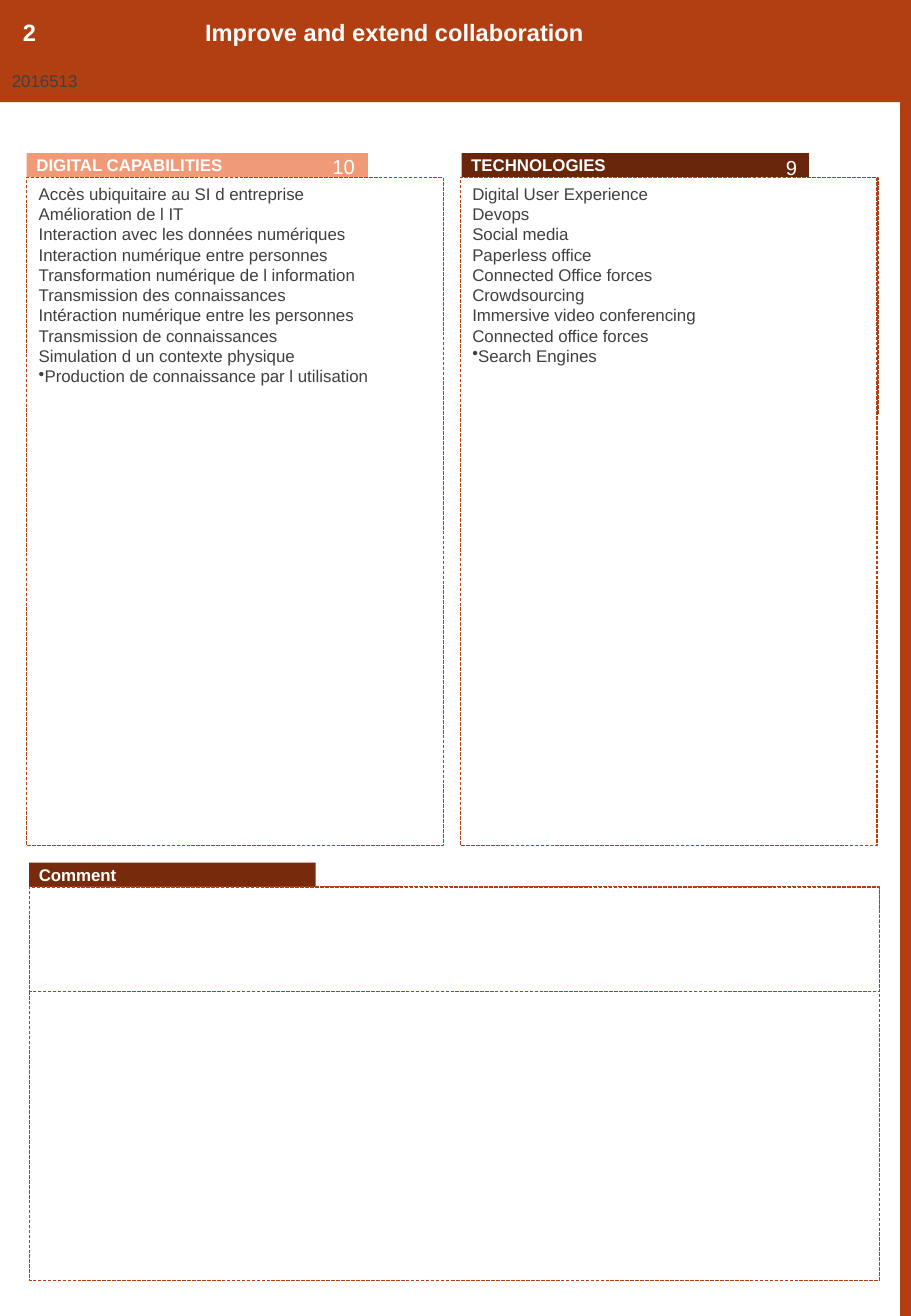
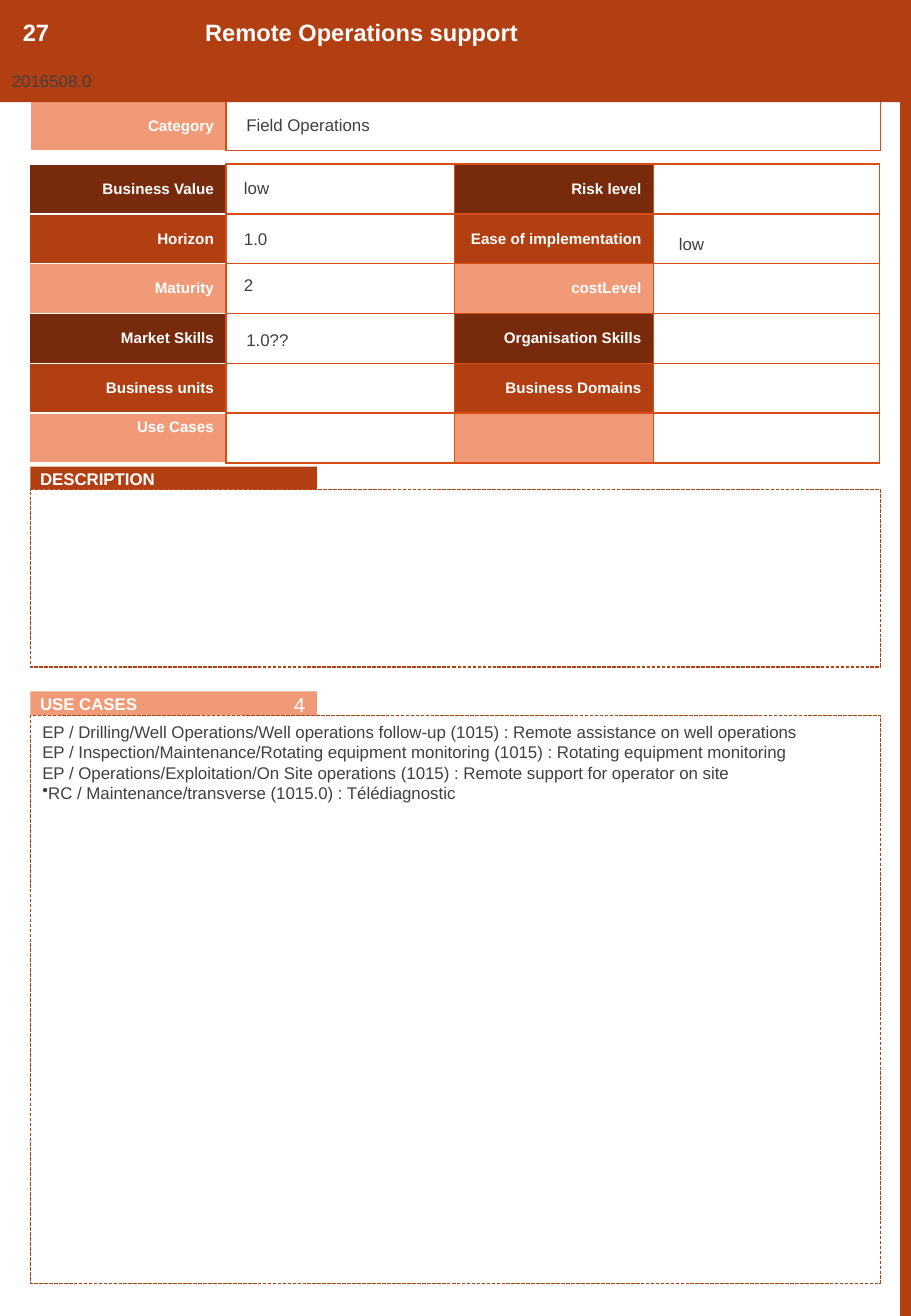
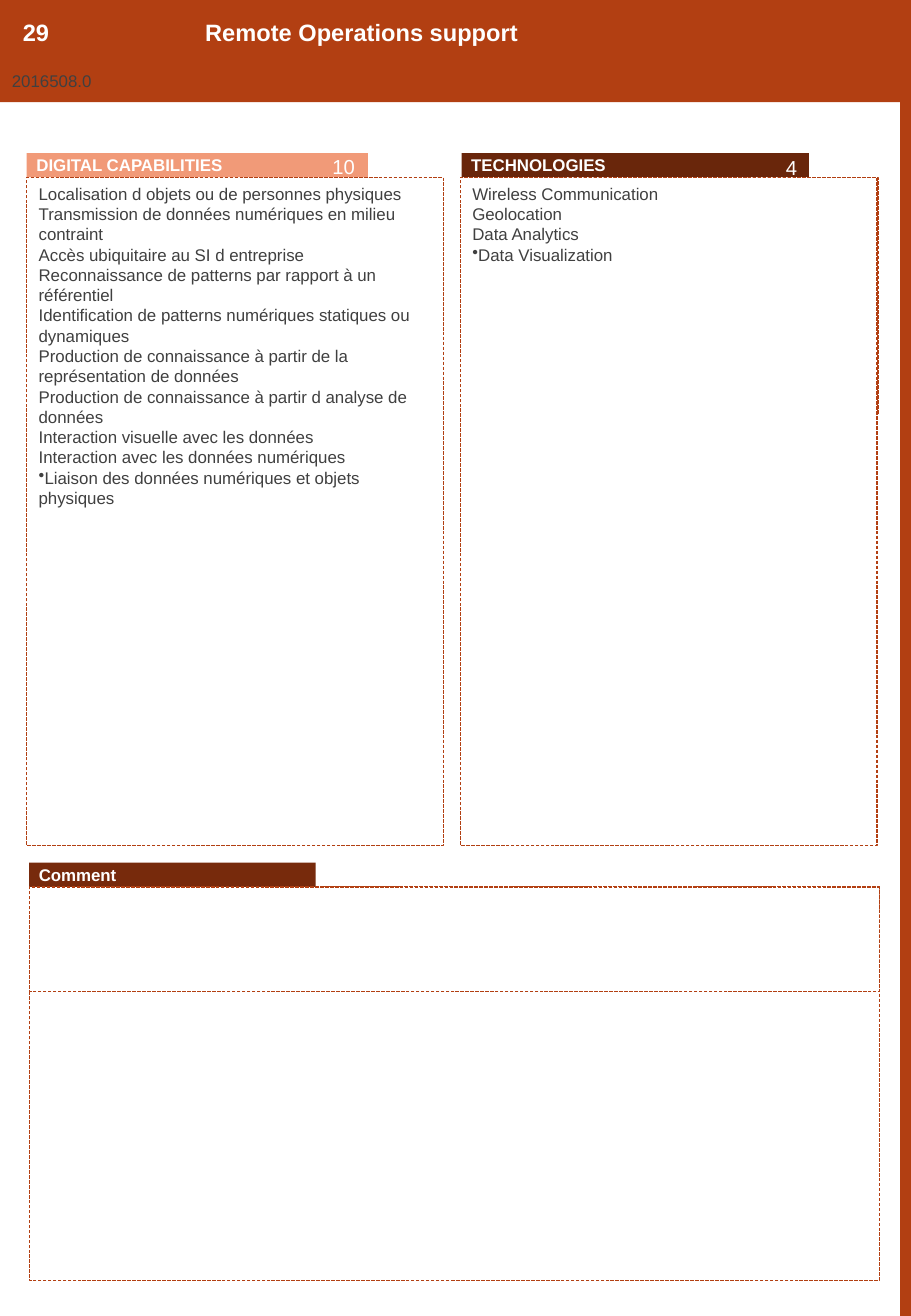
from dataclasses import dataclass

from lxml import etree
from pptx import Presentation
from pptx.dml.color import RGBColor
from pptx.enum.dml import MSO_LINE
from pptx.enum.shapes import MSO_SHAPE
from pptx.enum.text import MSO_ANCHOR, PP_ALIGN
from pptx.oxml.ns import qn
from pptx.util import Inches, Pt

RECT = MSO_SHAPE.RECTANGLE
DASH = MSO_LINE.SQUARE_DOT
TOP, MID = MSO_ANCHOR.TOP, MSO_ANCHOR.MIDDLE
LEFT, RIGHT = PP_ALIGN.LEFT, PP_ALIGN.RIGHT


@dataclass(frozen=True)
class Theme:
    font: str = "Arial"
    rust: str = "B23F12"
    peach: str = "F19A78"
    brown: str = "772A0C"
    dark: str = "69260B"
    grid: str = "D84D16"
    white: str = "FFFFFF"
    ink: str = "404040"
    title: int = 14
    count: int = 12
    body: int = 10
    label: int = 9


THEME = Theme()


class Deck:
    def __init__(self, theme):
        self.theme = theme
        self.prs = Presentation()
        self.prs.slide_width = Inches(7.5)
        self.prs.slide_height = Inches(10.83)
        self.slide = None

    def page(self):
        """Start a slide with the band on its right edge."""
        self.slide = self.prs.slides.add_slide(self.prs.slide_layouts[6])
        self.rect((7.41, 0, 0.09, 10.83), self.theme.rust)

    def put(self, frame, lines, size, color, bold=False, align=LEFT):
        frame.word_wrap = True
        for i, line in enumerate(lines):
            para = frame.paragraphs[0] if i == 0 else frame.add_paragraph()
            para.text = line
            para.alignment = align
            font = para.font
            font.name, font.size, font.bold = self.theme.font, Pt(size), bold
            font.color.rgb = RGBColor.from_string(color)

    def rect(self, box, fill, dashed=False):
        shape = self.slide.shapes.add_shape(RECT, *map(Inches, box))
        shape.shadow.inherit = False
        shape.fill.solid()
        shape.fill.fore_color.rgb = RGBColor.from_string(fill)
        if dashed:
            shape.line.color.rgb = RGBColor.from_string(self.theme.rust)
            shape.line.width = Pt(0)
            shape.line.dash_style = DASH
        else:
            shape.line.fill.background()
        shape.text_frame.vertical_anchor = TOP
        return shape

    def panel(self, box, lines=()):
        """Dashed frame; the last of its lines carries a bullet."""
        frame = self.rect(box, self.theme.white, True).text_frame
        if lines:
            self.put(frame, lines, self.theme.body, self.theme.ink)
            props = frame.paragraphs[-1]._p.get_or_add_pPr()
            props.set("marL", "0")
            props.set("indent", "0")
            mark = etree.Element(qn("a:buChar"), char="•")
            props.insert(0, mark)

    def tab(self, box, text, fill):
        frame = self.rect(box, fill).text_frame
        frame.vertical_anchor = MID
        frame.margin_left = frame.margin_right = Inches(0.08)
        self.put(frame, [text], self.theme.body, self.theme.white, True)

    def text(self, box, text):
        frame = self.slide.shapes.add_textbox(*map(Inches, box)).text_frame
        self.put(frame, [text], self.theme.body, self.theme.ink)

    def count(self, box, text):
        frame = self.slide.shapes.add_textbox(*map(Inches, box)).text_frame
        self.put(frame, [text], self.theme.count, self.theme.white,
                 align=RIGHT)

    def header(self, number, title, date):
        t = self.theme
        self.rect((0, -0.01, 7.5, 0.85), t.rust)
        for box, text, size, color, bold in (
                ((1.59, 0.1, 5.41, 0.34), title, t.title, t.white, True),
                ((0.09, 0.1, 0.8, 0.34), number, t.title, t.white, True),
                ((0, 0.53, 1.06, 0.29), date, t.body, t.ink, False)):
            frame = self.rect(box, t.rust).text_frame
            self.put(frame, [text], size, color, bold)

    def edge(self, cell, side, color):
        line = etree.SubElement(cell._tc.get_or_add_tcPr(),
                                qn("a:ln" + side), w=str(Pt(1)))
        fill = etree.SubElement(line, qn("a:solidFill"))
        etree.SubElement(fill, qn("a:srgbClr"), val=color)

    def table(self, left, top, cols, high, rows, fills):
        """Labels in even columns, blank value cells in odd ones."""
        t = self.theme
        shape = self.slide.shapes.add_table(
            len(rows), len(cols), Inches(left), Inches(top),
            Inches(sum(cols)), Inches(high * len(rows)))
        table = shape.table
        table.first_row = table.horz_banding = False
        for col, wide in zip(table.columns, cols):
            col.width = Inches(wide)
        for r, row in enumerate(rows):
            table.rows[r].height = Inches(high)
            for c in range(len(cols)):
                cell = table.cell(r, c)
                for side in "LRTB":
                    plain = c == 0 and side != "R"
                    self.edge(cell, side, t.white if plain else t.grid)
                label = c % 2 == 0
                cell.fill.solid()
                cell.fill.fore_color.rgb = RGBColor.from_string(
                    fills[r] if label else t.white)
                text = row[c // 2] if label else ""
                cell.vertical_anchor = TOP if text == "Use Cases" else MID
                self.put(cell.text_frame, [text], t.label, t.white, True,
                         RIGHT)

    def skills(self, head, needs, tools):
        """Page with two lists above a comment area."""
        t = self.theme
        self.page()
        # Technologies
        self.tab((3.8, 1.26, 2.86, 0.2), "TECHNOLOGIES", t.dark)
        self.panel((3.8, 1.46, 3.43, 1.95))
        self.panel((3.79, 1.46, 3.43, 5.5), tools)
        # Digital capabilities
        self.tab((0.22, 1.26, 2.81, 0.2), "DIGITAL CAPABILITIES", t.peach)
        self.panel((0.22, 1.46, 3.43, 5.5), needs)
        self.count((1.74, 1.22, 1.28, 0.29), str(len(needs)))
        self.count((5.19, 1.23, 1.47, 0.47), str(len(tools)))
        self.header(*head)
        # Comment
        self.panel((0.24, 7.3, 7, 3.24))
        self.tab((0.24, 7.1, 2.36, 0.2), "Comment", t.brown)
        self.panel((0.24, 7.3, 7, 0.86))

    def sheet(self, head, group, rows, values, cases):
        """Page with a rating grid, a description and use cases."""
        t = self.theme
        self.page()
        self.table(0.25, 0.83, (1.61, 5.39), 0.41, [("Category",)], [t.peach])
        self.header(*head)
        self.text((1.93, 0.89, 4.77, 0.29), group)
        # Ratings
        self.table(0.24, 1.35, (1.62, 1.88, 1.64, 1.86), 0.41, rows,
                   (t.brown, t.rust, t.peach) * 2)
        for left, top, value in values:
            self.text((left, top, 1.75, 0.29), value)
        # Description
        self.tab((0.25, 3.84, 2.36, 0.2), "DESCRIPTION", t.rust)
        self.panel((0.25, 4.03, 7, 1.46))
        # Use cases
        self.tab((0.25, 5.69, 2.36, 0.2), "USE CASES", t.peach)
        self.panel((0.25, 5.89, 7, 4.67), cases)
        self.count((1.22, 5.65, 1.39, 0.29), str(len(cases)))


def main():
    deck = Deck(THEME)

    # Collaboration
    deck.skills(
        ("2", "Improve and extend collaboration", "2016513"),
        ["Accès ubiquitaire au SI d entreprise",
         "Amélioration de l IT",
         "Interaction avec les données numériques",
         "Interaction numérique entre personnes",
         "Transformation numérique de l information",
         "Transmission des connaissances",
         "Intéraction numérique entre les personnes",
         "Transmission de connaissances",
         "Simulation d un contexte physique",
         "Production de connaissance par l utilisation"],
        ["Digital User Experience", "Devops", "Social media",
         "Paperless office", "Connected Office forces", "Crowdsourcing",
         "Immersive video conferencing", "Connected office forces",
         "Search Engines"])

    # Remote support: ratings
    title, date = "Remote Operations support", "2016508.0"
    deck.sheet(
        ("27", title, date),
        "Field Operations",
        [("Business Value", "Risk level"),
         ("Horizon", "Ease of implementation"),
         ("Maturity", "costLevel"),
         ("Market Skills", "Organisation Skills"),
         ("Business units", "Business Domains"),
         ("Use Cases", "")],
        [(1.91, 1.41, "low"), (1.91, 1.83, "1.0"), (5.49, 1.87, "low"),
         (1.91, 2.21, "2"), (1.93, 2.66, "1.0??")],
        ["EP / Drilling/Well Operations/Well operations follow-up (1015) : "
         "Remote assistance on well operations",
         "EP / Inspection/Maintenance/Rotating equipment monitoring (1015) : "
         "Rotating equipment monitoring",
         "EP / Operations/Exploitation/On Site operations (1015) : "
         "Remote support for operator on site",
         "RC / Maintenance/transverse (1015.0) : Télédiagnostic"])

    # Remote support: skills
    deck.skills(
        ("29", title, date),
        ["Localisation d objets ou de personnes physiques",
         "Transmission de données numériques en milieu contraint",
         "Accès ubiquitaire au SI d entreprise",
         "Reconnaissance de patterns par rapport à un référentiel",
         "Identification de patterns numériques statiques ou dynamiques",
         "Production de connaissance à partir de la représentation de données",
         "Production de connaissance à partir d analyse de données",
         "Interaction visuelle avec les données",
         "Interaction avec les données numériques",
         "Liaison des données numériques et objets physiques"],
        ["Wireless Communication", "Geolocation", "Data Analytics",
         "Data Visualization"])

    deck.prs.save("out.pptx")


if __name__ == "__main__":
    main()
